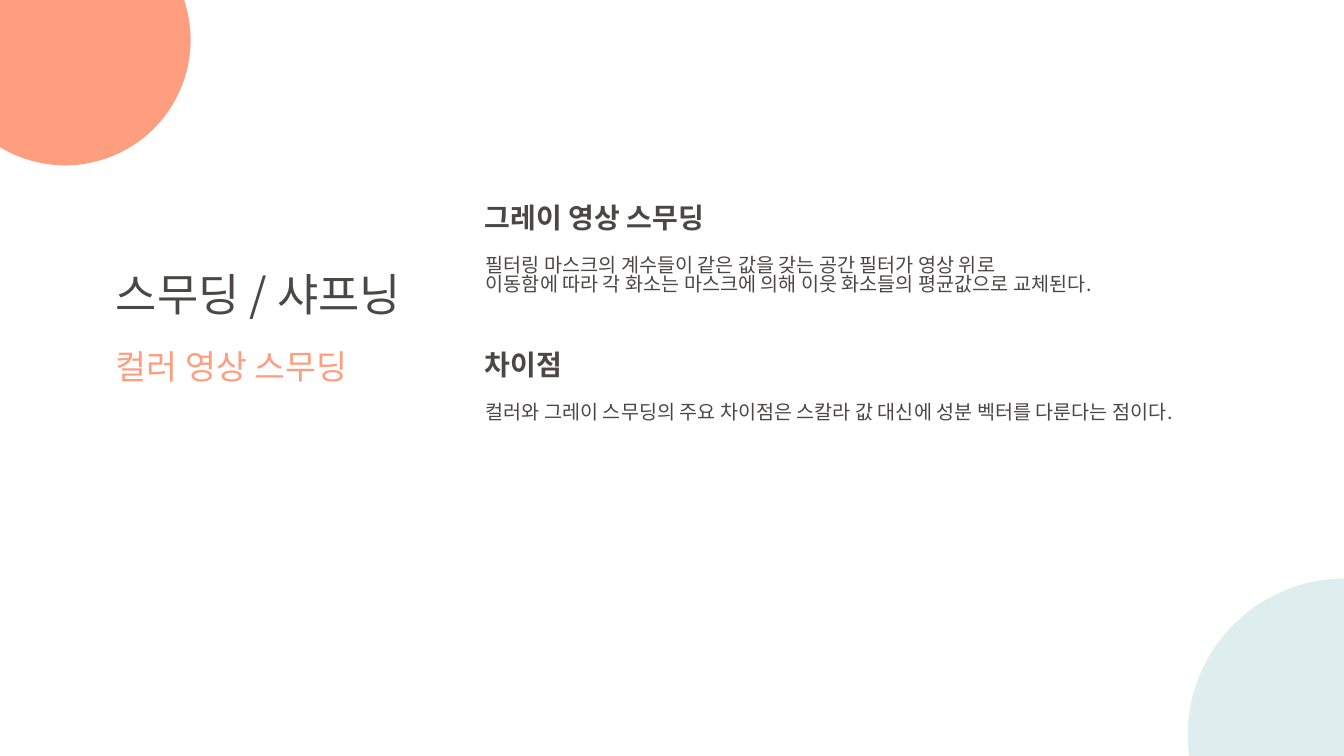
from lxml.etree import SubElement
from pptx import Presentation
from pptx.dml.color import RGBColor
from pptx.enum.shapes import MSO_SHAPE as Shape
from pptx.enum.text import MSO_ANCHOR as Anchor, MSO_AUTO_SIZE as AutoSize, PP_ALIGN as Align
from pptx.oxml.ns import qn
from pptx.util import Pt

PX = 9144
FONT = "Noto Sans CJK KR"
DARK = "4C4747"
CORAL = "FE9E7E"


def paint(color_format, color):
    color_format.rgb = RGBColor.from_string(color)


def write(box, area, lines, size, color, bold=False):
    box.left, box.top, box.width, box.height = [n * PX for n in area]
    frame = box.text_frame
    frame.text = "\n".join(lines)
    frame.word_wrap = False
    frame.auto_size = AutoSize.SHAPE_TO_FIT_TEXT
    frame.vertical_anchor = Anchor.TOP
    for paragraph in frame.paragraphs:
        paragraph.alignment = Align.LEFT
        paragraph.line_spacing = 0.81
        font = paragraph.font
        font.name, font.size, font.bold = FONT, Pt(size), bold
        font.fill.solid()
        paint(font.fill.fore_color, color)
        defaults = paragraph._p.pPr.find(qn("a:defRPr"))
        SubElement(defaults, qn("a:ea"), typeface=FONT)


deck = Presentation()
deck.slide_width, deck.slide_height = 1333 * PX, 750 * PX
slide = deck.slides.add_slide(deck.slide_layouts[5])
shapes = slide.shapes

for left, top, diameter, color, opacity in [
    (-60, -85, 249, CORAL, 100),
    (1178, 574, 311, "C8E4E5", 60),
]:
    circle = shapes.add_shape(Shape.OVAL, left * PX, top * PX, diameter * PX, diameter * PX)
    circle.shadow.inherit = False
    circle.line.fill.background()
    circle.fill.solid()
    paint(circle.fill.fore_color, color)
    if opacity < 100:
        tint = circle.fill._xPr.find(qn("a:solidFill"))[0]
        SubElement(tint, qn("a:alpha"), val=str(opacity * 1000))

write(shapes.title, (105, 269, 339, 64), ["스무딩 / 샤프닝"], 32, DARK)
subtitle = shapes.add_textbox(0, 0, 0, 0)
write(subtitle, (105, 346, 280, 50), ["컬러 영상 스무딩"], 24, CORAL)

sections = [
    (200, "그레이 영상 스무딩", 264, 695, 57, [
        "필터링 마스크의 계수들이 같은 값을 갖는 공간 필터가 영상 위로",
        "이동함에 따라 각 화소는 마스크에 의해 이웃 화소들의 평균값으로 교체된다.",
    ]),
    (346, "차이점", 104, 783, 34, [
        "컬러와 그레이 스무딩의 주요 차이점은 스칼라 값 대신에 성분 벡터를 다룬다는 점이다.",
    ]),
]
for top, heading, heading_width, body_width, body_height, body in sections:
    heading_box = shapes.add_textbox(0, 0, 0, 0)
    write(heading_box, (471, top, heading_width, 44), [heading], 20, DARK, True)
    body_box = shapes.add_textbox(0, 0, 0, 0)
    write(body_box, (472, top + 50, body_width, body_height), body, 14, DARK)

deck.save("out.pptx")
